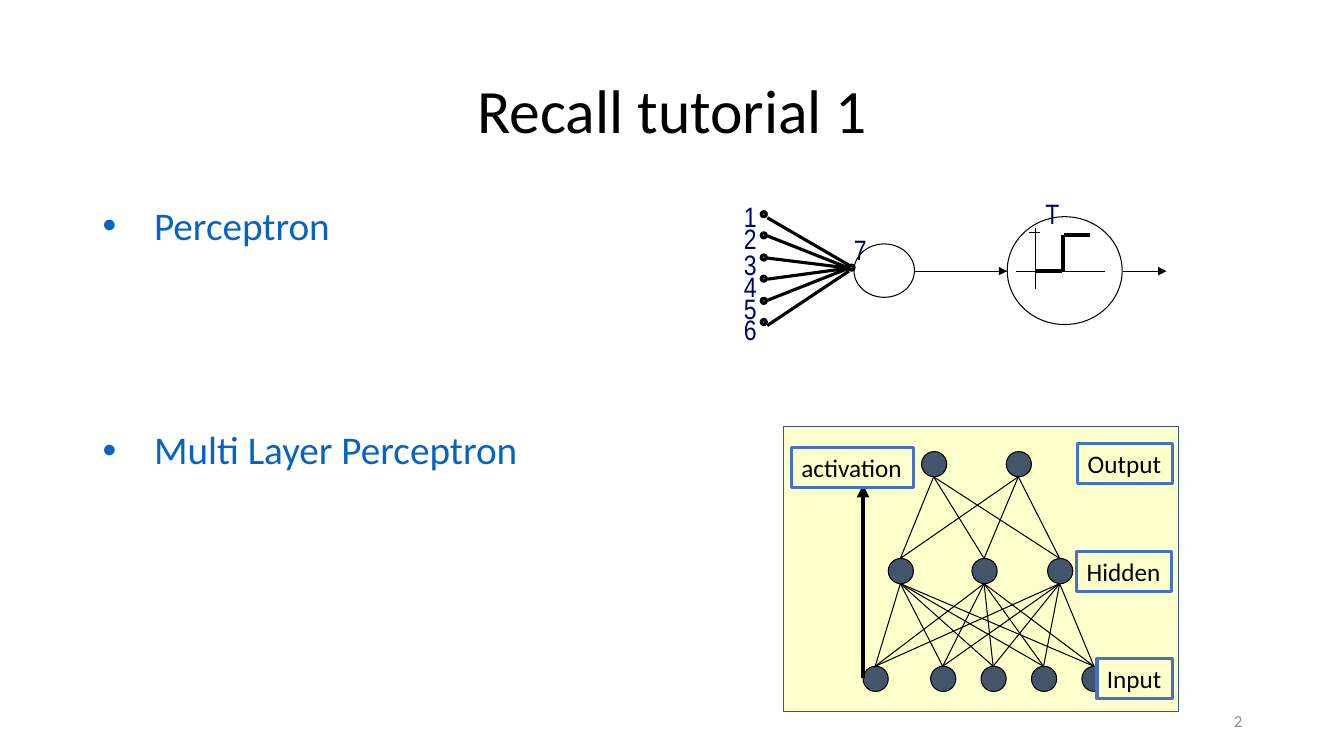
from itertools import product

from pptx import Presentation
from pptx.dml.color import RGBColor
from pptx.enum.shapes import MSO_CONNECTOR, MSO_SHAPE
from pptx.enum.text import MSO_ANCHOR, PP_ALIGN
from pptx.oxml.ns import qn
from pptx.util import Pt
from lxml.etree import SubElement

EMU_PER_PX = 9144  # 100 px to the inch

BLACK = RGBColor(0x00, 0x00, 0x00)
GRAY = RGBColor(0x8C, 0x8C, 0x8C)
LINK_BLUE = RGBColor(0x05, 0x63, 0xC1)
NAVY = RGBColor(0x00, 0x00, 0x66)
BLUE = RGBColor(0x44, 0x72, 0xC4)
DARK_BLUE = RGBColor(0x2F, 0x55, 0x97)
SLATE = RGBColor(0x44, 0x54, 0x6A)
CREAM = RGBColor(0xFF, 0xFF, 0xCC)

NODE_SIZE = 25
DOT_SIZE = 5


def px(*lengths):
    return [length * EMU_PER_PX for length in lengths]


def set_bullet(paragraph, indent):
    properties = paragraph._p.get_or_add_pPr()
    properties.set("marL", str(indent * EMU_PER_PX))
    properties.set("indent", str(-indent * EMU_PER_PX))
    SubElement(properties, qn("a:buFont"), typeface="Arial")
    SubElement(properties, qn("a:buChar"), char="•")


def write_text(shape, text, *, size, color=BLACK, font="Calibri", align=PP_ALIGN.LEFT,
               anchor=MSO_ANCHOR.TOP, wrap=True, line_spacing=None, bullet_indent=0,
               gap=0, margins=(10, 5, 10, 5)):
    """Fill a shape with one paragraph for each line of text."""
    frame = shape.text_frame
    frame.word_wrap = wrap
    frame.vertical_anchor = anchor
    (frame.margin_left, frame.margin_top,
     frame.margin_right, frame.margin_bottom) = px(*margins)
    for index, line in enumerate(text.split("\n")):
        paragraph = frame.add_paragraph() if index else frame.paragraphs[0]
        if bullet_indent:
            set_bullet(paragraph, bullet_indent)
        paragraph.alignment = align
        if line_spacing:
            paragraph.line_spacing = line_spacing
        if index:
            paragraph.space_before = Pt(gap)
        run = paragraph.add_run()
        run.text = line
        run.font.name = font
        run.font.size = Pt(size)
        run.font.color.rgb = color


def add_text(slide, box, text, **text_format):
    write_text(slide.shapes.add_textbox(*px(*box)), text, **text_format)


def add_outline_shape(slide, kind, box, fill=None, line=BLACK, width=0.75):
    shape = slide.shapes.add_shape(kind, *px(*box))
    shape.shadow.inherit = False
    if fill is None:
        shape.fill.background()
    else:
        shape.fill.solid()
        shape.fill.fore_color.rgb = fill
    shape.line.color.rgb = line
    shape.line.width = Pt(width)
    return shape


def add_line(slide, start, end, width=0.75, arrow=False):
    connector = slide.shapes.add_connector(MSO_CONNECTOR.STRAIGHT, *px(*start, *end))
    connector.line.color.rgb = BLACK
    connector.line.width = Pt(width)
    properties = connector._element.spPr
    if arrow:
        SubElement(properties.find(qn("a:ln")), qn("a:tailEnd"), type="triangle")
    SubElement(properties, qn("a:effectLst"))


def add_dot(slide, left, top):
    add_outline_shape(slide, MSO_SHAPE.OVAL, (left, top, DOT_SIZE, DOT_SIZE),
                      fill=BLUE, width=2.25)


def add_symbol(slide, left, top, text):
    add_text(slide, (left, top, 21, 32), text, size=20, color=NAVY,
             font="Arial Narrow", wrap=False, margins=(10, 5, 0, 0))


def add_layer_label(slide, box, text):
    label = add_outline_shape(slide, MSO_SHAPE.RECTANGLE, box, CREAM, BLUE, 2.25)
    write_text(label, text, size=18, wrap=False)


def draw_perceptron(slide):
    # Numbered inputs joined at the summing unit
    add_dot(slide, 842, 263)
    label_tops = (193, 215, 241, 262, 284, 305)
    line_starts = (216, 234, 256, 277, 298, 323)
    line_ends = (263, 266, 266, 266, 266, 269)
    for index, (top, start, end) in enumerate(zip(label_tops, line_starts, line_ends)):
        add_dot(slide, 755, 210 + round(21.4 * index))
        add_line(slide, (761, start), (842, end), width=2.25)
        add_symbol(slide, 728, top, str(index + 1))
    add_symbol(slide, 837, 226, "7")

    # Summing unit, threshold unit and signal arrows
    add_outline_shape(slide, MSO_SHAPE.OVAL, (847, 242, 60, 53))
    add_line(slide, (907, 269), (999, 269), arrow=True)
    add_outline_shape(slide, MSO_SHAPE.OVAL, (999, 215, 114, 107))
    add_line(slide, (1114, 269), (1157, 269), arrow=True)

    # Axes and step function
    add_line(slide, (1008, 269), (1096, 269))
    add_line(slide, (1027, 226), (1027, 287))
    add_line(slide, (1021, 231), (1032, 231))
    add_line(slide, (1027, 269), (1053, 269), width=3)
    add_line(slide, (1054, 269), (1054, 233), width=3)
    add_line(slide, (1055, 233), (1081, 233), width=3)
    add_symbol(slide, 1027, 190, "T")


def draw_network(slide):
    add_outline_shape(slide, MSO_SHAPE.RECTANGLE, (777, 423, 392, 283),
                      CREAM, DARK_BLUE, 1)

    # Nodes of each layer, from output down to input
    layers = [
        [(left, 448) for left in (914, 998)],
        [(left, 554) for left in (881, 964, 1039)],
        [(left, 661) for left in (856, 923, 973, 1023, 1073)],
    ]
    for layer in layers:
        for left, top in layer:
            add_outline_shape(slide, MSO_SHAPE.OVAL,
                              (left, top, NODE_SIZE, NODE_SIZE), fill=SLATE)

    # Every node is joined to every node of the next layer
    middle = NODE_SIZE // 2
    for upper_layer, lower_layer in zip(layers, layers[1:]):
        for upper, lower in product(upper_layer, lower_layer):
            add_line(slide, (upper[0] + middle, upper[1] + NODE_SIZE),
                     (lower[0] + middle, lower[1]))

    # Direction of activation and layer names
    add_line(slide, (856, 673), (856, 481), width=3, arrow=True)
    add_layer_label(slide, (785, 444, 121, 40), "activation")
    add_layer_label(slide, (1088, 653, 75, 40), "Input")
    add_layer_label(slide, (1068, 547, 94, 40), "Hidden")
    add_layer_label(slide, (1069, 440, 94, 40), "Output")


def main():
    presentation = Presentation()
    presentation.slide_width, presentation.slide_height = px(1333, 750)
    slide = presentation.slides.add_slide(presentation.slide_layouts[6])

    # Title, topics and slide number
    add_text(slide, (92, 40, 1150, 145), "Recall tutorial 1", size=44,
             align=PP_ALIGN.CENTER, anchor=MSO_ANCHOR.MIDDLE, line_spacing=0.9)
    add_text(slide, (92, 200, 1150, 476), "Perceptron\nMulti Layer Perceptron",
             size=28, color=LINK_BLUE, line_spacing=0.9, bullet_indent=51, gap=130)
    add_text(slide, (942, 695, 300, 40), "2", size=12, color=GRAY,
             align=PP_ALIGN.RIGHT, anchor=MSO_ANCHOR.MIDDLE)

    draw_perceptron(slide)
    draw_network(slide)
    presentation.save("out.pptx")


if __name__ == "__main__":
    main()
